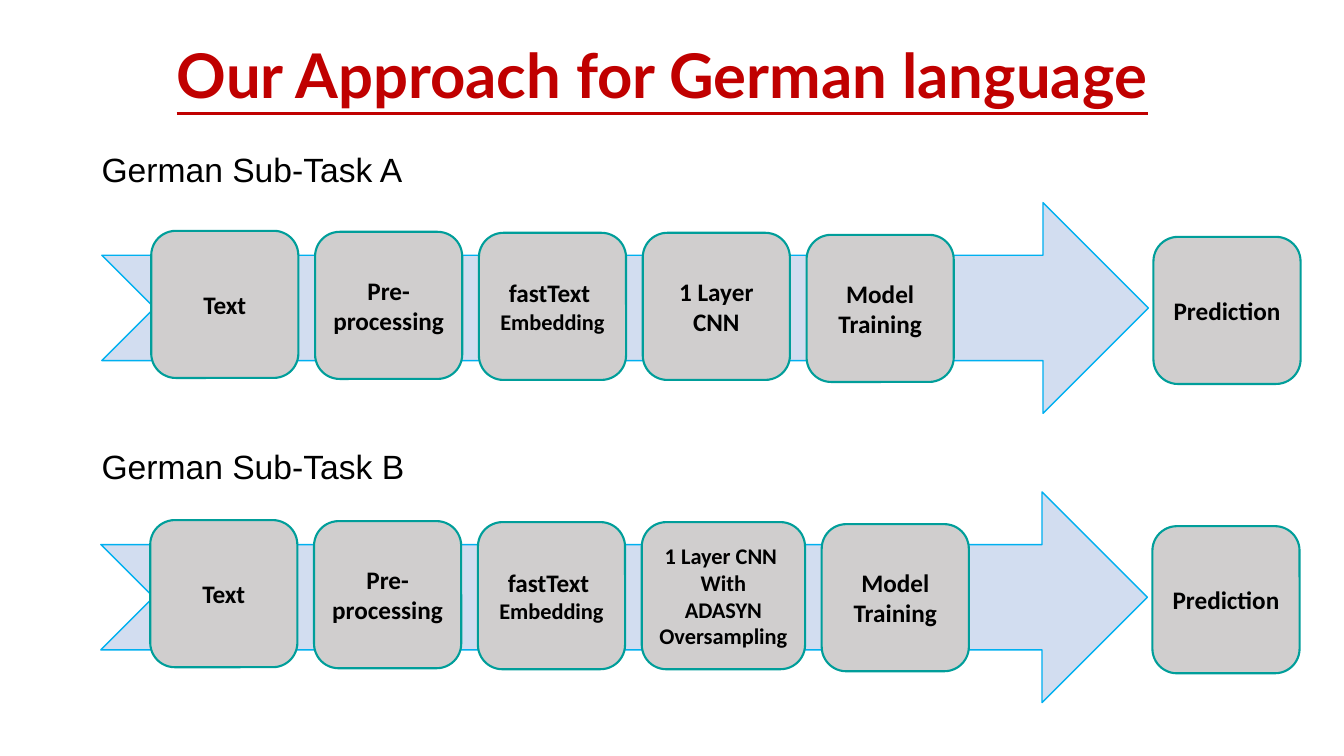
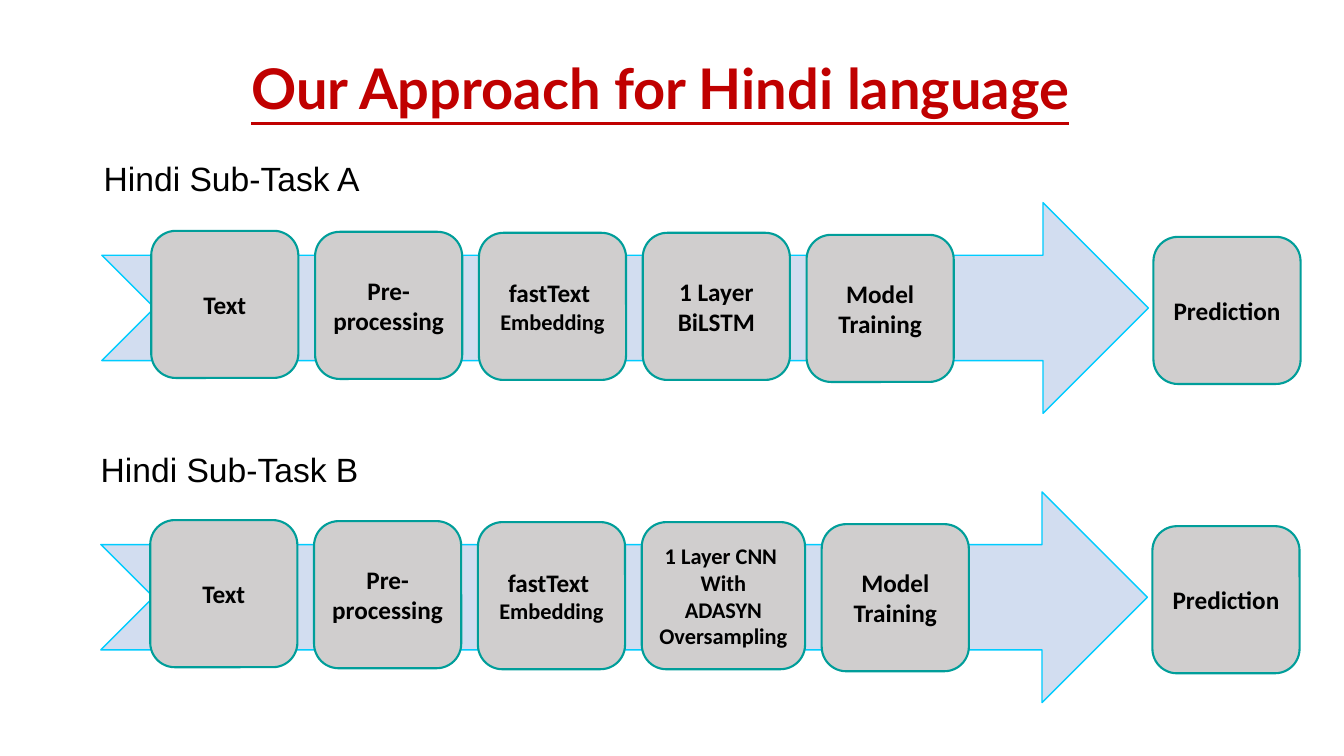
from dataclasses import dataclass

from pptx import Presentation
from pptx import util as u
from pptx.dml.color import RGBColor
from pptx.enum import shapes, text
from pptx.oxml.ns import qn


@dataclass(frozen=True)
class Theme:
    title: str = "C00000"
    ink: str = "000000"
    band: str = "B4C7E7"
    box: str = "D0CECE"
    edge: str = "009E9A"
    head: str = "Lato"
    label: str = "Arial"
    body: str = "Calibri"
    sub: int = 24
    step: int = 18
    small: int = 16


T = Theme()


def write(frame, lines, font=T.body, color=T.ink, bold=True, under=None,
          align=text.PP_ALIGN.CENTER, space=None):
    frame.word_wrap = True
    for i, (line, size) in enumerate(lines):
        par = frame.paragraphs[0] if i == 0 else frame.add_paragraph()
        par.alignment = align
        par.line_spacing = space
        run = par.add_run()
        run.text = line
        run.font.name = font
        run.font.size = u.Pt(size)
        run.font.bold = bold
        run.font.underline = under
        run.font.color.rgb = RGBColor.from_string(color)


def draw(slide, kind, spot, fill, edge, width):
    shape = slide.shapes.add_shape(kind, *map(u.Inches, spot))
    shape.shadow.inherit = False
    shape.fill.solid()
    shape.fill.fore_color.rgb = RGBColor.from_string(fill)
    shape.line.color.rgb = RGBColor.from_string(edge)
    shape.line.width = u.Pt(width)
    return shape


SIDE, GAP, WIDE = 1.46, 0.165, 1.62
DROPS = [0.28, 0.29, 0.3, 0.3, 0.32, 0.34]
ROWS = [(1.01, 2.01), (1, 4.88)]
ADASYN = [("1 Layer CNN ", T.small), ("With", T.small),
          ("ADASYN Oversampling ", T.small)]

DECK = [
    {"lang": "German", "size": 44, "spot": (0.82, 0.35), "line": "00B0F0",
     "model": "1 Layer CNN", "subs": [(0.91, 1.43), (0.91, 4.37)]},
    {"lang": "Hindi", "size": 40, "spot": (0.8, 0.48), "line": "00CCFF",
     "model": "1 Layer BiLSTM", "subs": [(0.93, 1.52), (0.9, 4.4)]},
]

prs = Presentation()
prs.slide_width = u.Inches(13.33)
prs.slide_height = u.Inches(7.5)

for page in DECK:
    slide = prs.slides.add_slide(prs.slide_layouts[5])
    title = slide.shapes.title
    title.left, title.top = map(u.Inches, page["spot"])
    title.width, title.height = u.Inches(11.5), u.Inches(0.85)
    title.text_frame.vertical_anchor = text.MSO_ANCHOR.MIDDLE
    title.text_frame.auto_size = text.MSO_AUTO_SIZE.NONE
    write(title.text_frame,
          [(f"Our Approach for {page['lang']} language", page["size"])],
          font=T.head, color=T.title, under=True, space=0.9)

    models = [[(page["model"], T.step)], ADASYN]
    for task, (left, top), sub, model in zip("AB", ROWS, page["subs"], models):
        note = slide.shapes.add_textbox(*map(u.Inches, (*sub, 3.5, 0.5)))
        write(note.text_frame, [(f"{page['lang']} Sub-Task {task}", T.sub)],
              font=T.label, bold=False, align=text.PP_ALIGN.LEFT)

        band = draw(slide, shapes.MSO_SHAPE.NOTCHED_RIGHT_ARROW,
                    (left, top, 10.38, 2.09), T.band, page["line"], 1)
        tint = band._element.spPr.find(qn("a:solidFill")).find(qn("a:srgbClr"))
        tint.makeelement(qn("a:alpha"))
        alpha = tint.makeelement(qn("a:alpha"), {"val": "60000"})
        tint.append(alpha)

        steps = [
            [("Text", T.step)],
            [("Pre-processing", T.step)],
            [("fastText ", T.step), ("Embedding", T.small)],
            model,
            [("Model Training", T.step)],
            [("Prediction", T.step)],
        ]
        x = left + 0.49
        for step, drop in zip(steps, DROPS):
            if step is steps[-1]:
                x = left + 10.43
            width = WIDE if step is ADASYN else SIDE
            box = draw(slide, shapes.MSO_SHAPE.ROUNDED_RECTANGLE,
                       (x, top + drop, width, SIDE), T.box, T.edge, 1.5)
            box.text_frame.vertical_anchor = text.MSO_ANCHOR.MIDDLE
            write(box.text_frame, step)
            x += width + GAP

prs.save("out.pptx")
